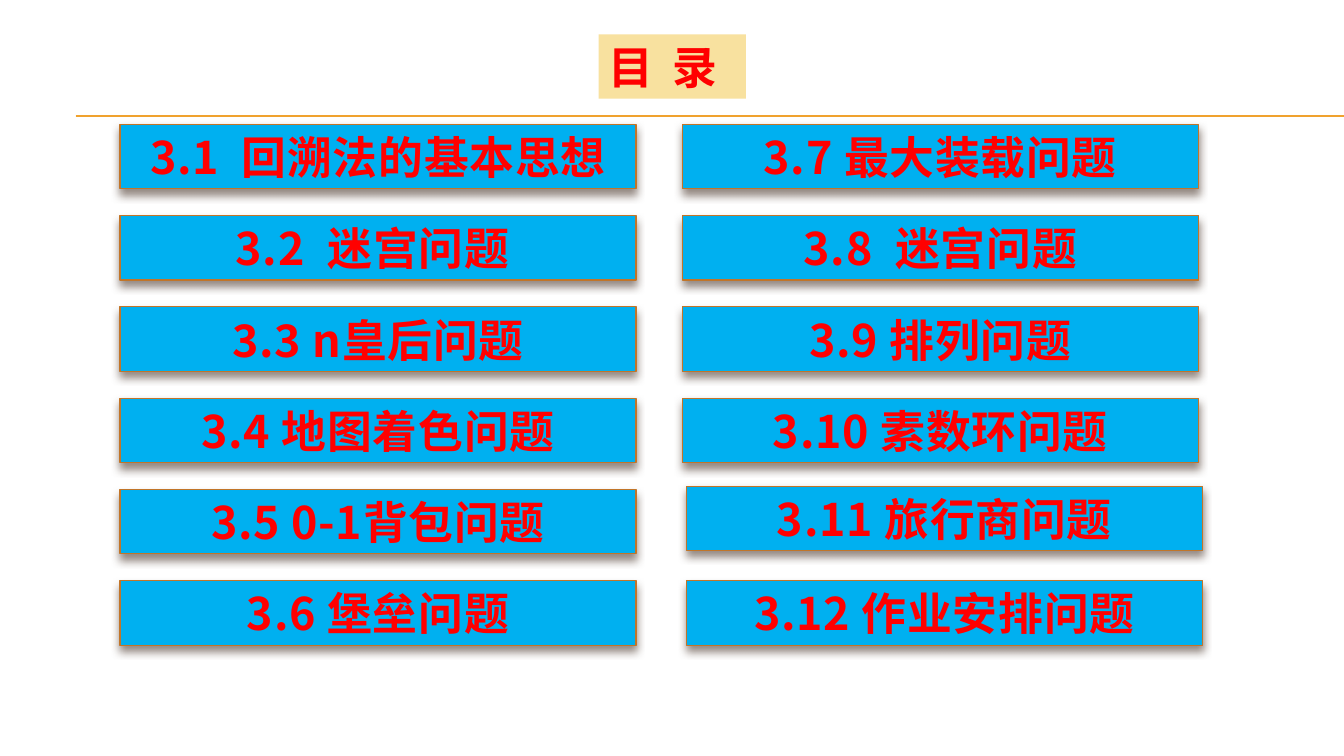
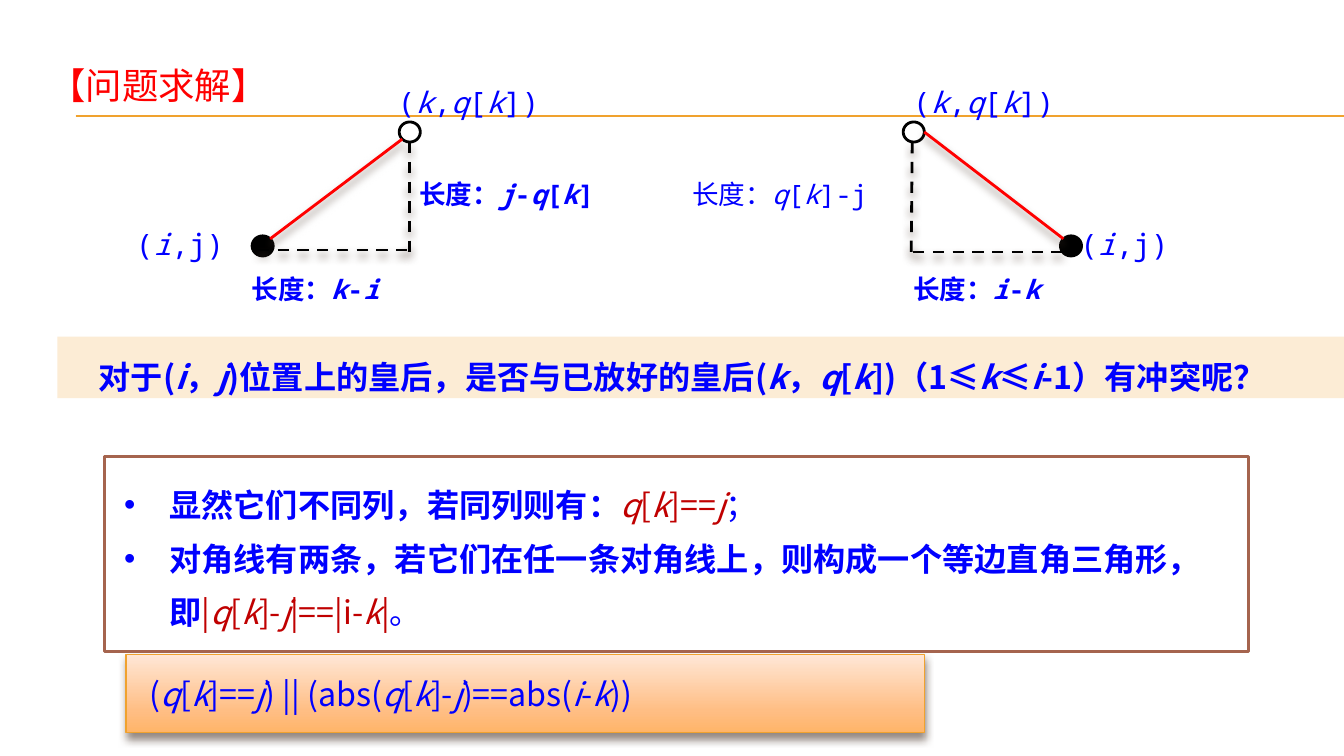
"""Builds a contents slide and a queen-conflict slide for a backtracking course."""
from dataclasses import dataclass

import pptx
import pptx.dml.color
import pptx.enum.dml
import pptx.enum.shapes
import pptx.enum.text
import pptx.oxml.ns
import pptx.util
from lxml import etree

Pt = pptx.util.Pt
qn = pptx.oxml.ns.qn
SHAPE = pptx.enum.shapes.MSO_SHAPE
ANCHOR = pptx.enum.text.MSO_ANCHOR
ALIGN = pptx.enum.text.PP_ALIGN


@dataclass(frozen=True)
class Theme:
    cjk: str = "Noto Sans CJK SC"
    mono: str = "Noto Sans Mono"
    latin: str = "Karla"
    red: str = "FF0000"
    blue: str = "0000FF"
    crimson: str = "C00000"
    black: str = "000000"
    white: str = "FFFFFF"
    gold: str = "F0A22E"
    tile: str = "00B0F0"
    tile_edge: str = "C17529"
    title_fill: str = "F8E19F"
    banner: str = "FCECD5"
    box_edge: str = "A5644E"
    shadow: str = "4E3B30"
    gradient: tuple = ((0, "FFE7D7"), (72, "FFBE84"), (100, "FFB468"))
    heading: int = 32
    title: int = 26
    body: int = 23
    point: int = 21
    length: int = 19
    thin: float = 0.79
    thick: float = 2
    leading: float = 38.1


T = Theme()
WIDTH, HEIGHT = 960, 540

CONTENTS_TITLE = ("目", "录")
WIDE_GAP = 8
CHAPTERS = [
    [("3.1", "回溯法的基本思想", WIDE_GAP), ("3.2", "迷宫问题 ", WIDE_GAP),
     ("3.3", "n皇后问题", 0), ("3.4", "地图着色问题", 0),
     ("3.5", "0-1背包问题", 0), ("3.6", "堡垒问题", 0)],
    [("3.7", "最大装载问题", 0), ("3.8", "迷宫问题", WIDE_GAP),
     ("3.9", "排列问题", 0), ("3.10", "素数环问题", 0),
     ("3.11", "旅行商问题", 0), ("3.12", "作业安排问题", 0)],
]
COLUMN_X = (85.7, 487.4)
ROW_Y, ROW_PITCH = 88.8, 65.2
TILE_W, TILE_H = 368.6, 46
NUDGE = {(1, 4): (2.9, -2.4), (1, 5): (2.9, 0)}

POINT = dict(size=T.point, font=T.mono)
LENGTH = dict(size=T.length)
BOLD_LENGTH = dict(LENGTH, bold=True)
MATH = dict(color=T.crimson)
STRONG = dict(bold=True)

PLACED, QUEEN = "(*k*,*q*[*k*])", "(*i*,j)"
TRIANGLES = [
    dict(placed=292.7, queen=187.6, diagonal=(193, 170.6, 287.3, 99.4),
         base=(184.3, 178.6, 291.6, 178.6), stem=(292.3, 101.5, 292.3, 180),
         points=[(277.2, 56.2, PLACED), (90, 157.7, QUEEN)],
         lengths=[(172.8, 191.5, "*k*-*i*", BOLD_LENGTH),
                  (292.3, 123.8, "*j*-*q*[*k*]", BOLD_LENGTH)]),
    dict(placed=652.7, queen=765, diagonal=(759.6, 170.6, 660.2, 94.3),
         base=(652.3, 180, 759.6, 180), stem=(651.6, 101.5, 650.9, 180),
         points=[(645.1, 56.2, PLACED), (764.6, 157.7, QUEEN)],
         lengths=[(645.1, 191.5, "*i*-*k*", BOLD_LENGTH),
                  (487.4, 123.8, "*q*[*k*]-j", LENGTH)]),
]
PLACED_Y, QUEEN_Y = 94.3, 175.7
DOT_W, DOT_H = 15.1, 14.4

QUESTION = [("对于(*i*，*j*)位置上的皇后，是否与已放好的皇后"
             "(*k*，*q*[*k*])（1≤*k*≤*i*-1）有冲突呢？", STRONG)]
ARGUMENT = [
    [("显然它们不同列，若同列则有：", STRONG), ("*q*[*k*]==*j*", MATH), ("；", {})],
    [("对角线有两条，若它们在任一条对角线上，则构成一个等边直角三角形，即", STRONG),
     ("|*q*[*k*]-*j*|==|i-*k*|", MATH), ("。", {})],
]
CONDITION = [("(*q*[*k*]==*j*) || (abs(*q*[*k*]-*j*)==abs(*i*-*k*))", {})]


def rgb(value):
    return pptx.dml.color.RGBColor.from_string(value)


def add_effects(sp, shadow):
    effects = etree.SubElement(sp._element.spPr, qn("a:effectLst"))
    if shadow:
        outer = etree.SubElement(effects, qn("a:outerShdw"), blurRad=str(Pt(6)),
                                 dist=str(Pt(4)), dir="5400000", rotWithShape="0")
        clr = etree.SubElement(outer, qn("a:srgbClr"), val=T.shadow)
        etree.SubElement(clr, qn("a:alpha"), val="60000")


def add_line(s, ends, color, width, dash=False, shadow=False):
    cxn = s.shapes.add_connector(pptx.enum.shapes.MSO_CONNECTOR.STRAIGHT,
                                 *(Pt(v) for v in ends))
    cxn.line.color.rgb = rgb(color)
    cxn.line.width = Pt(width)
    if dash:
        cxn.line.dash_style = pptx.enum.dml.MSO_LINE.DASH
    add_effects(cxn, shadow)


def add_box(s, box, fill, edge=None, width=T.thin, shadow=False, kind=SHAPE.RECTANGLE):
    sp = s.shapes.add_shape(kind, *(Pt(v) for v in box))
    if isinstance(fill, tuple):
        sp.fill.gradient()
        sp.fill.gradient_angle = 270
        stops = sp._element.spPr.find(".//" + qn("a:gsLst"))
        for stop in list(stops):
            stops.remove(stop)
        for pos, color in fill:
            gs = etree.SubElement(stops, qn("a:gs"), pos=str(pos * 1000))
            etree.SubElement(gs, qn("a:srgbClr"), val=color)
    else:
        sp.fill.solid()
        sp.fill.fore_color.rgb = rgb(fill)
    if edge:
        sp.line.color.rgb = rgb(edge)
        sp.line.width = Pt(width)
    else:
        sp.line.fill.background()
    add_effects(sp, shadow)
    return sp


def add_runs(p, text, size=T.body, font=T.cjk, color=T.blue, bold=False, spacing=0):
    for n, part in enumerate(text.split("*")):
        if not part:
            continue
        r = p.add_run()
        r.text = part
        r.font.size = Pt(size)
        r.font.name = font
        r.font.bold = bold
        r.font.italic = n % 2 == 1
        r.font.color.rgb = rgb(color)
        rPr = r._r.get_or_add_rPr()
        etree.SubElement(rPr, qn("a:ea"), typeface=T.cjk)
        if spacing:
            rPr.set("spc", str(round(spacing * 100)))


def write(sp, paragraphs, insets=(7.2, 3.6, 7.2, 3.6), anchor=ANCHOR.TOP,
          align=ALIGN.LEFT, leading=None, indent=(0, 0), bullet=None):
    tf = sp.text_frame
    tf.word_wrap = True
    tf.vertical_anchor = anchor
    tf.margin_left, tf.margin_top, tf.margin_right, tf.margin_bottom = map(Pt, insets)
    for n, segments in enumerate(paragraphs):
        p = tf.add_paragraph() if n else tf.paragraphs[0]
        pPr = p._p.get_or_add_pPr()
        pPr.set("marL", str(Pt(indent[0])))
        pPr.set("indent", str(Pt(indent[1])))
        if bullet:
            etree.SubElement(pPr, qn("a:buFont"), typeface="Arial")
            etree.SubElement(pPr, qn("a:buChar"), char=bullet)
        p.alignment = align
        if leading:
            p.line_spacing = Pt(leading)
        for text, style in segments:
            add_runs(p, text, **style)


def add_label(s, box, segments, **layout):
    write(s.shapes.add_textbox(*(Pt(v) for v in box)), [segments], **layout)


def add_slide(prs):
    s = prs.slides.add_slide(prs.slide_layouts[6])
    for y in (82.8, 83.5):
        add_line(s, (54, y, WIDTH, y), T.gold, 0.75)
    return s


def build_contents(prs):
    s = add_slide(prs)
    heading = dict(size=T.heading, color=T.red, bold=True)
    for col, chapters in enumerate(CHAPTERS):
        for row, (number, title, gap) in enumerate(chapters):
            dx, dy = NUDGE.get((col, row), (0, 0))
            tile = add_box(s, (COLUMN_X[col] + dx, ROW_Y + row * ROW_PITCH + dy,
                               TILE_W, TILE_H), T.tile, T.tile_edge, shadow=True)
            style = dict(heading, spacing=0.5)
            write(tile, [[(number, style), (" ", dict(heading, spacing=0.5 + gap)),
                          (title, style)]],
                  insets=(7.2, 0, 7.2, 0), anchor=ANCHOR.MIDDLE, align=ALIGN.CENTER)
    style = dict(heading, font=T.latin)
    first, last = CONTENTS_TITLE
    title = add_box(s, (427.7, 24.5, 105.1, 46), T.title_fill)
    write(title, [[(first, style), (" ", dict(style, spacing=6)), (last, style)]],
          insets=(7.2, 0, 7.2, 0), anchor=ANCHOR.MIDDLE)


def draw_triangle(s, tri):
    for x, y, fill in ((tri["queen"], QUEEN_Y, T.black), (tri["placed"], PLACED_Y, T.white)):
        add_box(s, (x - DOT_W / 2, y - DOT_H / 2, DOT_W, DOT_H), fill, T.black,
                T.thick, kind=SHAPE.OVAL)
    add_line(s, tri["diagonal"], T.red, T.thick, shadow=True)
    for side in ("base", "stem"):
        add_line(s, tri[side], T.black, T.thick, dash=True, shadow=True)
    for x, y, text in tri["points"]:
        add_label(s, (x, y, 134.6, 32.4), [(text, POINT)])
    for x, y, text, style in tri["lengths"]:
        add_label(s, (x, y, 172.8, 30.2),
                  [("长度：", style), (text, dict(style, font=T.mono))])


def build_conflict(prs):
    s = add_slide(prs)
    add_label(s, (26.6, 40.3, 187.2, 40.3),
              [("【问题求解】", dict(size=T.title, color=T.red))],
              insets=(8.6, 0, 8.6, 0), anchor=ANCHOR.MIDDLE)
    for tri in TRIANGLES:
        draw_triangle(s, tri)
    write(add_box(s, (41, 240.5, 919, 43.9), T.banner), [QUESTION],
          insets=(8.6, 4.3, 0, 0), leading=T.leading, indent=(0, 21))
    write(add_box(s, (90, 467.3, 570.2, 56.2), T.gradient, T.gold, shadow=True),
          [CONDITION], insets=(16.6, 0, 8.6, 0), anchor=ANCHOR.MIDDLE)
    write(add_box(s, (74.9, 326.2, 817.2, 139), T.white, T.box_edge, T.thick),
          ARGUMENT, insets=(13.7, 10.1, 8.6, 13.7), leading=T.leading,
          indent=(32.4, -32.4), bullet="•")


def main():
    prs = pptx.Presentation()
    prs.slide_width, prs.slide_height = Pt(WIDTH), Pt(HEIGHT)
    build_contents(prs)
    build_conflict(prs)
    prs.save("out.pptx")


if __name__ == "__main__":
    main()
